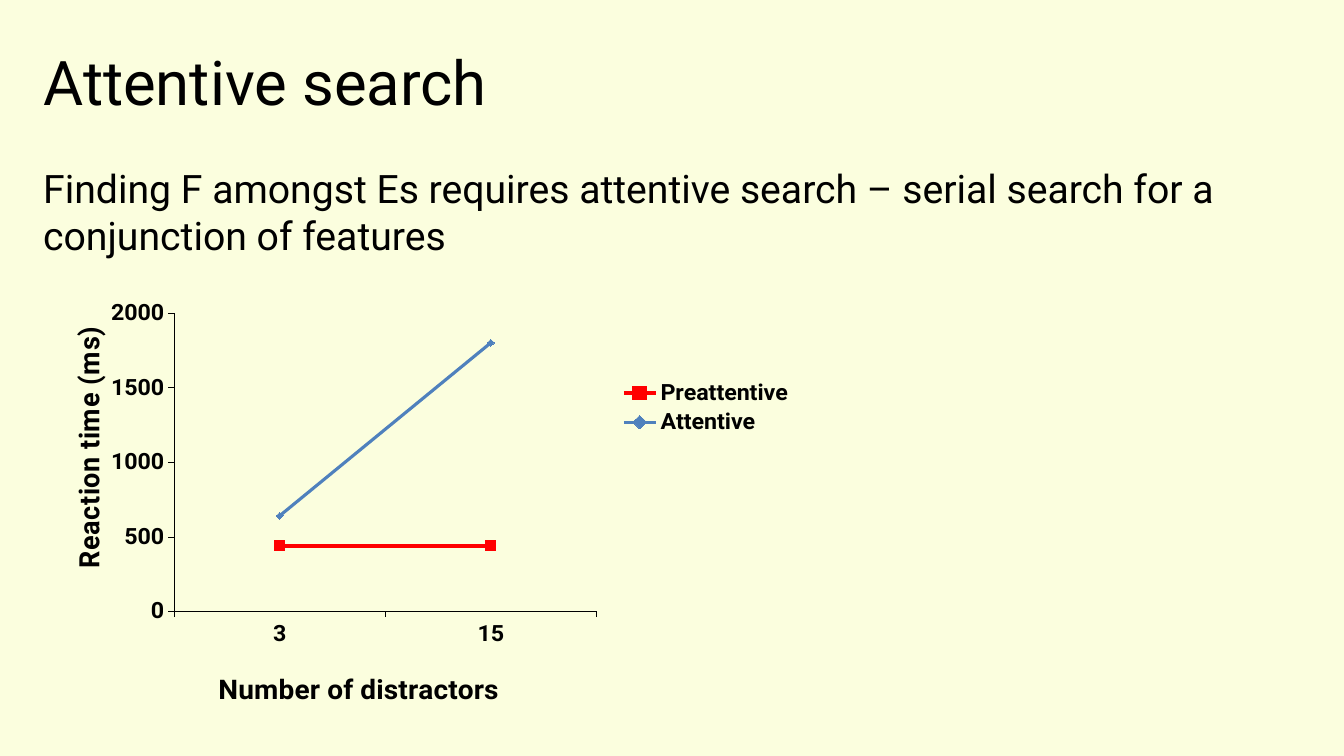
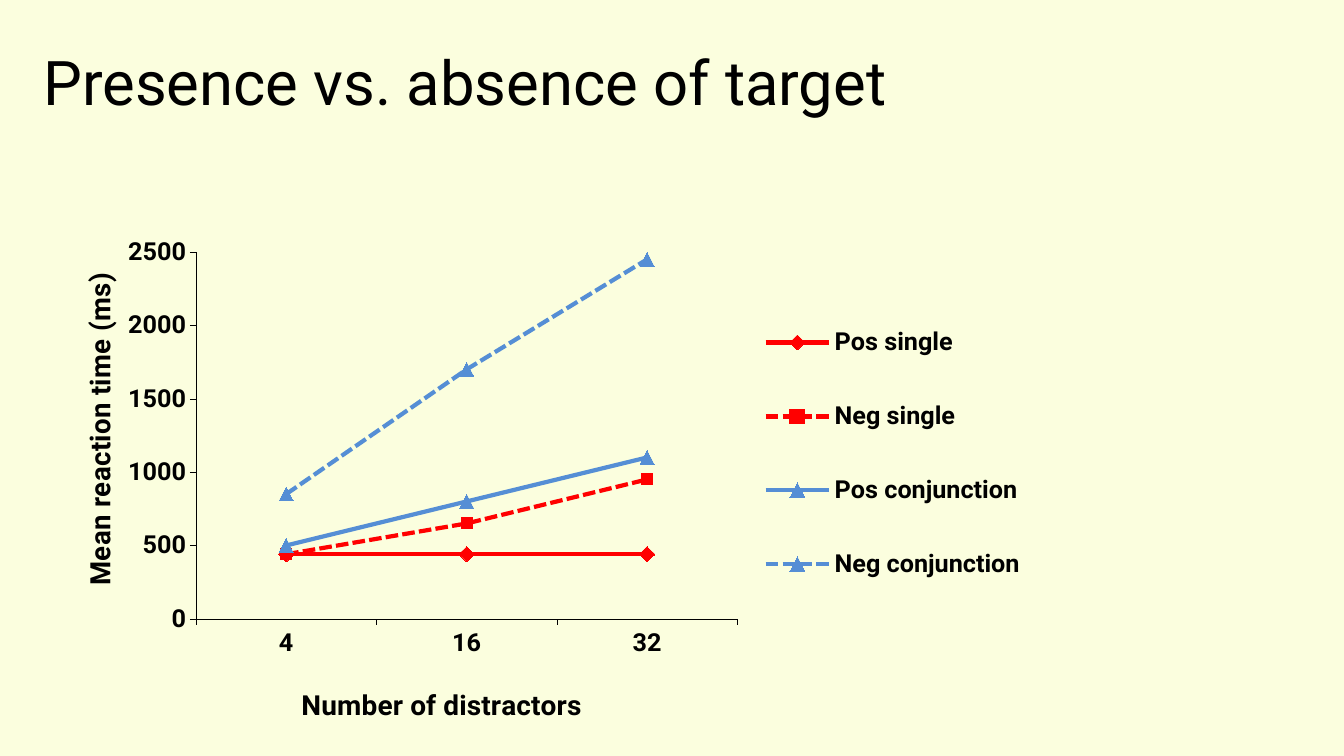
import dataclasses
import typing

import lxml.etree
import pptx
import pptx.chart.data
import pptx.dml.color
import pptx.enum.chart
import pptx.enum.dml
import pptx.enum.text
import pptx.oxml.ns
import pptx.oxml.xmlchemy
import pptx.util

Cm = pptx.util.Cm
Pt = pptx.util.Pt
Mark = pptx.enum.chart.XL_MARKER_STYLE
Anchor = pptx.enum.text.MSO_ANCHOR
qn = pptx.oxml.ns.qn

INK = {"page": "FBFEDE", "text": "000000", "red": "FF0000", "steel": "4F81BD", "sky": "558ED5"}
FACE = "Roboto"
LEFT = 0.84
FRAME = {
    "word_wrap": True,
    "auto_size": pptx.enum.text.MSO_AUTO_SIZE.NONE,
}
AXIS = {
    "has_major_gridlines": False,
    "has_minor_gridlines": False,
    "major_tick_mark": pptx.enum.chart.XL_TICK_MARK.OUTSIDE,
    "minor_tick_mark": pptx.enum.chart.XL_TICK_MARK.NONE,
    "has_title": True,
}


class Box(typing.NamedTuple):
    left: float
    top: float
    width: float
    height: float


class Place(typing.NamedTuple):
    x: float
    y: float
    w: float = 0
    h: float = 0


@dataclasses.dataclass
class Line:
    name: str
    values: tuple[int, ...]
    ink: str
    mark: Mark
    size: int
    width: float = 3
    dashed: bool = False


@dataclasses.dataclass
class Graph:
    box: Box
    font: float
    cats: tuple[str, ...]
    top: int
    label: str
    lines: tuple[Line, ...]
    plot: Place
    key: Place
    base: Place
    side: Place


@dataclasses.dataclass
class Page:
    title: str
    graph: Graph
    body: str = ""


PAGES = (
    Page(
        "Attentive search",
        Graph(
            Box(LEFT, 7.04, 19.71, 10.97), 16.6, ("3", "15"), 2000, "Reaction time (ms)",
            (
                Line("Preattentive", (440, 440), "red", Mark.SQUARE, 7, 2.75),
                Line("Attentive", (640, 1800), "steel", Mark.DIAMOND, 5, 2.25),
            ),
            Place(0.18, 0.08, 0.54, 0.71), Place(0.74, 0.23, 0.24, 0.15),
            Place(0.23, 0.92), Place(0.04, 0.12),
        ),
        "Finding F amongst Es requires attentive search – serial search for a conjunction of features",
    ),
    Page(
        "Presence vs. absence of target",
        Graph(
            Box(1.4, 5.18, 25.27, 13.23), 18, ("4", "16", "32"), 2500, "Mean reaction time (ms)",
            (
                Line("Pos single", (440, 440, 440), "red", Mark.DIAMOND, 11),
                Line("Neg single", (440, 650, 950), "red", Mark.SQUARE, 8, dashed=True),
                Line("Pos conjunction", (500, 800, 1100), "sky", Mark.TRIANGLE, 10),
                Line("Neg conjunction", (850, 1700, 2450), "sky", Mark.TRIANGLE, 10, dashed=True),
            ),
            Place(0.14, 0.09, 0.54, 0.71), Place(0.7, 0.15, 0.27, 0.66),
            Place(0.24, 0.92), Place(0.02, 0.13),
        ),
    ),
)


def tint(name: str) -> pptx.dml.color.RGBColor:
    return pptx.dml.color.RGBColor.from_string(INK[name])


def put(item: typing.Any, looks: dict[str, typing.Any]) -> None:
    for key, value in looks.items():
        setattr(item, key, value)


def fill(part: typing.Any, ink: str) -> None:
    part.fill.solid()
    part.fill.fore_color.rgb = tint(ink)


def style(font: typing.Any, size: float, bold: bool = False) -> None:
    put(font, {"name": FACE, "size": Pt(size), "bold": bold})
    font.color.rgb = tint("text")


def spot(box: Box) -> tuple[pptx.util.Length, ...]:
    return tuple(Cm(side) for side in box)


def write(shape: typing.Any, text: str, size: float, anchor: Anchor) -> None:
    frame = shape.text_frame
    put(frame, FRAME | {"text": text, "vertical_anchor": anchor})
    para = frame.paragraphs[0]
    para.alignment = pptx.enum.text.PP_ALIGN.LEFT
    style(para.runs[0].font, size)


def make(tag: str) -> typing.Any:
    return pptx.oxml.xmlchemy.OxmlElement(tag)


def pin(node: typing.Any, place: Place, inner: bool = False) -> None:
    for old in node.findall(qn("c:layout")):
        node.remove(old)
    layout = make("c:layout")
    hand = lxml.etree.SubElement(layout, qn("c:manualLayout"))
    rules = {"layoutTarget": "inner"} if inner else {}
    rules |= {"xMode": "edge", "yMode": "edge"}
    rules |= {key: str(value) for key, value in place._asdict().items() if value}
    for key, value in rules.items():
        lxml.etree.SubElement(hand, qn("c:" + key)).set("val", value)
    prior = node.find(qn("c:tx"))
    if prior is None:
        prior = node.find(qn("c:legendPos"))
    if prior is None:
        node.insert(0, layout)
    else:
        prior.addnext(layout)


def clear() -> typing.Any:
    props = make("c:spPr")
    lxml.etree.SubElement(props, qn("a:noFill"))
    edge = lxml.etree.SubElement(props, qn("a:ln"))
    lxml.etree.SubElement(edge, qn("a:noFill"))
    return props


def set_axis(axis: typing.Any, label: str, place: Place, turn: int) -> None:
    put(axis, AXIS)
    axis.format.line.width = Pt(0.25)
    fill(axis.format.line, "text")
    title = axis.axis_title
    title.text_frame.text = label
    style(title.text_frame.paragraphs[0].runs[0].font, 20, True)
    frame = title.element.find(".//" + qn("a:bodyPr"))
    frame.set("rot", str(turn * 60000))
    frame.set("vert", "horz")
    pin(title.element, place)


def set_line(series: typing.Any, line: Line) -> None:
    series.smooth = False
    stroke = series.format.line
    stroke.width = Pt(line.width)
    fill(stroke, line.ink)
    if line.dashed:
        stroke.dash_style = pptx.enum.dml.MSO_LINE.SQUARE_DOT
    put(series.marker, {"style": line.mark, "size": line.size})
    fill(series.marker.format, line.ink)
    series.marker.format.line.fill.background()


def draw(slide: typing.Any, graph: Graph) -> None:
    data = pptx.chart.data.CategoryChartData()
    data.categories = graph.cats
    for line in graph.lines:
        data.add_series(line.name, line.values)
    kind = pptx.enum.chart.XL_CHART_TYPE.LINE_MARKERS
    chart = slide.shapes.add_chart(kind, *spot(graph.box), data).chart
    put(chart, {"has_title": False, "has_legend": True})
    style(chart.font, graph.font, True)
    put(chart.legend, {
        "position": pptx.enum.chart.XL_LEGEND_POSITION.RIGHT,
        "include_in_layout": False,
    })
    set_axis(chart.category_axis, "Number of distractors", graph.base, 0)
    set_axis(chart.value_axis, graph.label, graph.side, -90)
    put(chart.value_axis, {"minimum_scale": 0, "maximum_scale": graph.top, "major_unit": 500})
    chart.plots[0].vary_by_categories = False
    for series, line in zip(chart.plots[0].series, graph.lines):
        set_line(series, line)
    root = chart.element.find(qn("c:chart"))
    area = root.find(qn("c:plotArea"))
    pin(area, graph.plot, True)
    pin(root.find(qn("c:legend")), graph.key)
    area.append(clear())
    root.addnext(clear())


def build(deck: typing.Any, page: Page) -> None:
    slide = deck.slides.add_slide(deck.slide_layouts[5])
    title = slide.shapes.title
    place = zip(("left", "top", "width", "height"), spot(Box(LEFT, 0.2, 29.21, 3.68)))
    put(title, dict(place))
    write(title, page.title, 44, Anchor.MIDDLE)
    draw(slide, page.graph)
    if page.body:
        body = slide.shapes.add_textbox(*spot(Box(LEFT, 4.01, 31.7, 2.64)))
        write(body, page.body, 28, Anchor.TOP)


def main() -> None:
    deck = pptx.Presentation()
    put(deck, {"slide_width": Cm(33.87), "slide_height": Cm(19.05)})
    fill(deck.slide_master.background, "page")
    for page in PAGES:
        build(deck, page)
    deck.save("out.pptx")


if __name__ == "__main__":
    main()
